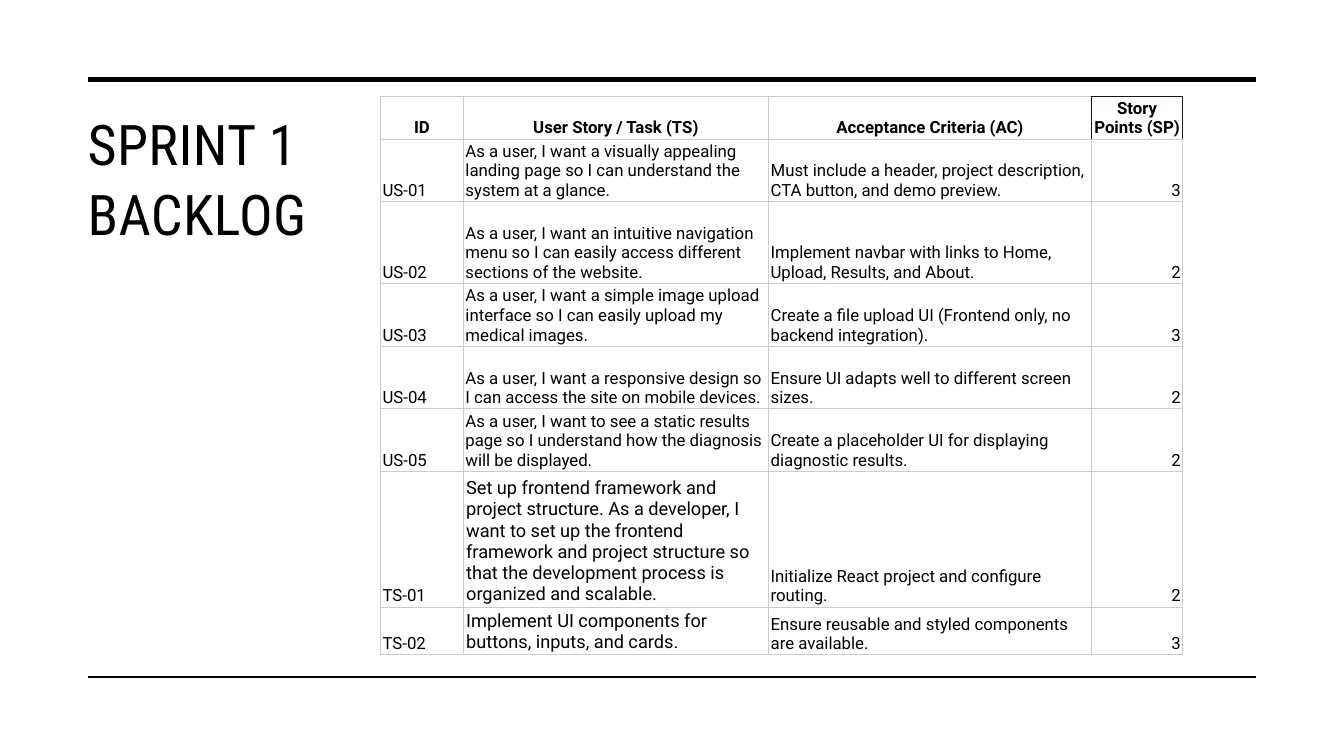
"""Build the sprint backlog slide."""
from lxml.etree import SubElement
from pptx import Presentation
from pptx.dml.color import RGBColor
from pptx.enum.shapes import MSO_CONNECTOR
from pptx.enum.text import MSO_ANCHOR, PP_ALIGN
from pptx.oxml.ns import qn
from pptx.util import Pt

HEAD = ["ID", "User Story / Task (TS)", "Acceptance Criteria (AC)", "Story Points (SP)"]
TASKS = [
    ["US-01", "As a user, I want a visually appealing landing page so I can understand the system at a glance.",
     "Must include a header, project description, CTA button, and demo preview.", "3"],
    ["US-02", "As a user, I want an intuitive navigation menu so I can easily access different sections of the website.",
     "Implement navbar with links to Home, Upload, Results, and About.", "2"],
    ["US-03", "As a user, I want a simple image upload interface so I can easily upload my medical images.",
     "Create a file upload UI (Frontend only, no backend integration).", "3"],
    ["US-04", "As a user, I want a responsive design so I can access the site on mobile devices.",
     "Ensure UI adapts well to different screen sizes.", "2"],
    ["US-05", "As a user, I want to see a static results page so I understand how the diagnosis will be displayed.",
     "Create a placeholder UI for displaying diagnostic results.", "2"],
    ["TS-01", "Set up frontend framework and project structure. As a developer, I want to set up the frontend "
     "framework and project structure so that the development process is organized and scalable.",
     "Initialize React project and configure routing.", "2"],
    ["TS-02", "Implement UI components for buttons, inputs, and cards.",
     "Ensure reusable and styled components are available.", "3"],
]
WIDTHS = [59.2, 218, 230.6, 65.3]
HEIGHTS = [30.5, 44.8, 58.5, 44.8, 44.8, 44.8, 75, 32]


def tint(code):
    return RGBColor.from_string(code)


class Page:
    ink, grid, dark = "000000", "CCCCCC", "20130F"
    body, display = "Roboto", "Roboto Condensed"

    def __init__(self, slide):
        self.slide = slide

    def style(self, para, face, size, bold=False):
        font = para.font
        font.name, font.size, font.bold = face, Pt(size), bold
        font.color.rgb = tint(self.ink)

    def rule(self, left, right, top, weight):
        line = self.slide.shapes.add_connector(
            MSO_CONNECTOR.STRAIGHT, Pt(left), Pt(top), Pt(right), Pt(top))
        line.line.color.rgb = tint(self.ink)
        line.line.width = Pt(weight)
        SubElement(line._element.spPr, qn("a:effectLst"))

    def title(self, text, left, top, width, height):
        frame = self.slide.shapes.add_textbox(Pt(left), Pt(top), Pt(width), Pt(height)).text_frame
        frame.word_wrap = True
        para = frame.paragraphs[0]
        run = para.add_run()
        run.text = text
        para.line_spacing = 1.05
        self.style(para, self.display, 40)
        run.font._element.set("spc", "30")

    def border(self, cell, sides):
        props = cell._tc.get_or_add_tcPr()
        for side, code in sides.items():
            line = SubElement(props, qn(f"a:ln{side}"), w=str(Pt(0.75)))
            fill = SubElement(line, qn("a:solidFill"))
            SubElement(fill, qn("a:srgbClr"), val=code)
        cell.fill.background()

    def cell(self, cell, text, row, col):
        last = len(HEAD) - 1
        head, large = row == 0, row > 5 and col == 1
        cell.vertical_anchor = MSO_ANCHOR.BOTTOM
        side = 2 if large else 0.75 if head and col == last else 1.5
        cell.margin_left = cell.margin_right = Pt(side)
        cell.margin_top = cell.margin_bottom = Pt(1.5 if large else 0.75)
        cell.text = text
        para = cell.text_frame.paragraphs[0]
        if head:
            para.alignment = PP_ALIGN.CENTER
        elif col == last:
            para.alignment = PP_ALIGN.RIGHT
        self.style(para, self.body, 13 if large else 12, head)
        sides = dict.fromkeys("LRTB", self.grid)
        if head and col == last:
            sides.update(dict.fromkeys("LRT", self.dark))
        elif head and col == last - 1:
            sides["R"] = self.dark
        self.border(cell, sides)

    def table(self, rows, left, top):
        table = self.slide.shapes.add_table(
            len(rows), len(WIDTHS), Pt(left), Pt(top), Pt(sum(WIDTHS)), Pt(sum(HEIGHTS))).table
        table.first_row = table.horz_banding = False
        for col, width in zip(table.columns, WIDTHS):
            col.width = Pt(width)
        for row, height in zip(table.rows, HEIGHTS):
            row.height = Pt(height)
        for r, row in enumerate(rows):
            for c, text in enumerate(row):
                self.cell(table.cell(r, c), text, r, c)


def main():
    deck = Presentation()
    deck.slide_width, deck.slide_height = Pt(960), Pt(540)
    page = Page(deck.slides.add_slide(deck.slide_layouts[6]))
    page.rule(63, 897, 56.8, 3.5)
    page.rule(63, 897, 483.6, 1)
    page.title("SPRINT 1 BACKLOG", 55.6, 72, 217, 347)
    page.table([HEAD] + TASKS, 271.8, 68.8)
    deck.save("out.pptx")


if __name__ == "__main__":
    main()
